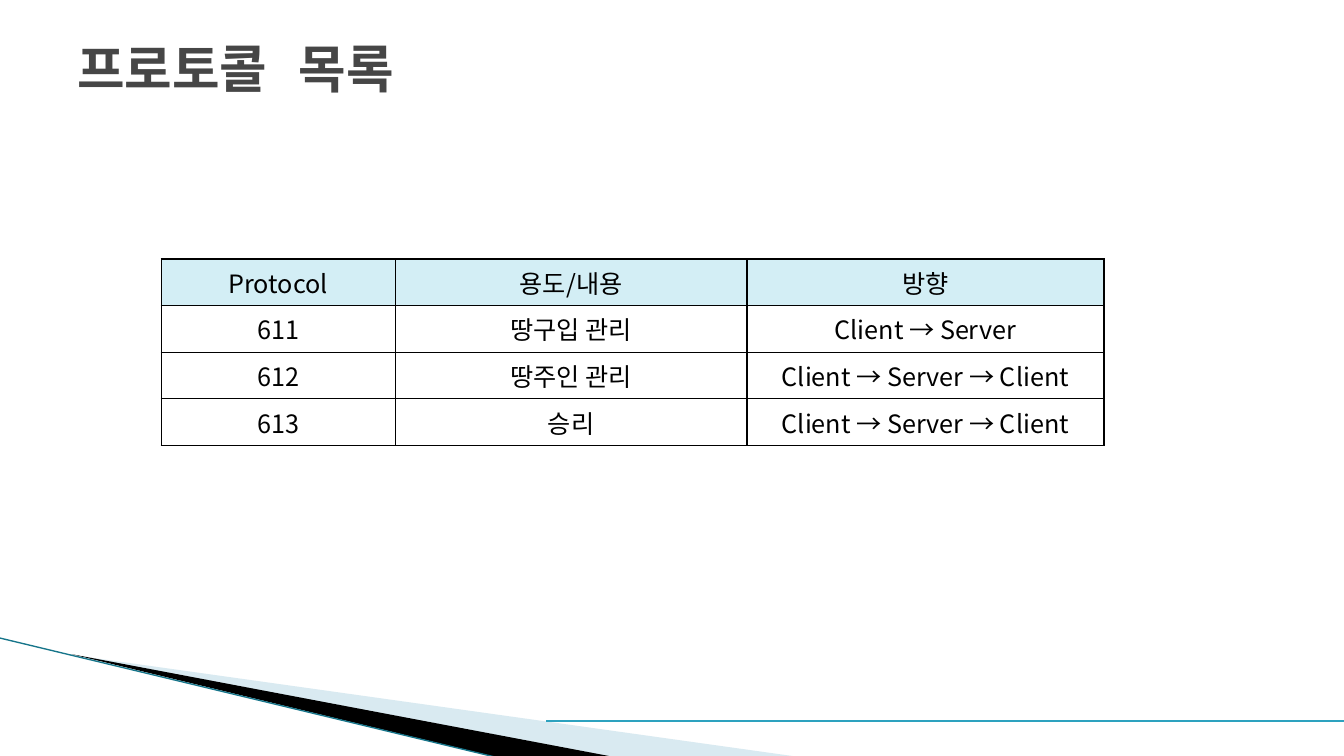
from lxml import etree
from pptx import Presentation
from pptx import util as u
from pptx.dml.color import RGBColor
from pptx.enum import shapes, text
from pptx.oxml import ns

WIDTH, HEIGHT = 13.33, 7.5
TITLE_FONT, TABLE_FONT = "DejaVu Sans Mono", "Noto Sans CJK KR"
COLORS = {
    "title": "464646",
    "ink": "000000",
    "header": "D3EEF5",
    "pale": "A0CBDC",
    "edge": "16758A",
    "rule": "2DA2BF",
}
COLUMN_WIDTHS = [2.32, 3.49, 3.54]
ROW_HEIGHT = 0.41
PROTOCOLS = [
    ["Protocol", "용도/내용", "방향"],
    ["611", "땅구입 관리", "Client → Server"],
    ["612", "땅주인 관리", "Client → Server → Client"],
    ["613", "승리", "Client → Server → Client"],
]


def color(name):
    return RGBColor.from_string(COLORS[name])


def add_child(parent, tag, **attributes):
    return etree.SubElement(parent, ns.qn(tag), attributes)


def style_paragraph(paragraph, font_name, size, color_name, alignment, bold=False):
    paragraph.alignment = alignment
    font = paragraph.font
    font.name, font.size, font.bold = font_name, u.Pt(size), bold
    font.color.rgb = color(color_name)
    add_child(font._element, "a:ea", typeface=font_name)
    for run in paragraph.runs:
        run.font.name = font_name
        add_child(run.font._element, "a:ea", typeface=font_name)


def add_wedge(slide, points, color_name, opacity=100):
    start, *others = [(u.Inches(x), u.Inches(y)) for x, y in points]
    builder = slide.shapes.build_freeform(*start, scale=1.0)
    builder.add_line_segments(others, close=True)
    wedge = builder.convert_to_shape()
    wedge.shadow.inherit = False
    wedge.line.fill.background()
    wedge.fill.solid()
    wedge.fill.fore_color.rgb = color(color_name)
    if opacity < 100:
        fill_color = wedge._element.spPr.find(".//" + ns.qn("a:srgbClr"))
        add_child(fill_color, "a:alpha", val=str(opacity * 1000))


def add_line(slide, start, end, color_name, width):
    ends = [u.Inches(value) for value in (*start, *end)]
    line = slide.shapes.add_connector(shapes.MSO_CONNECTOR.STRAIGHT, *ends)
    line.line.color.rgb = color(color_name)
    line.line.width = u.Pt(width)
    add_child(line._element.spPr, "a:effectLst")


def set_title(slide, wording):
    title = slide.shapes.title
    title.left, title.top = u.Inches(WIDTH * 0.05), u.Inches(HEIGHT * 0.04)
    title.width, title.height = u.Inches(WIDTH * 0.9), u.Inches(0.74)
    frame = title.text_frame
    frame.text = wording
    frame.auto_size = text.MSO_AUTO_SIZE.NONE
    frame.vertical_anchor = text.MSO_ANCHOR.MIDDLE
    style_paragraph(frame.paragraphs[0], TITLE_FONT, 36.9, "title", text.PP_ALIGN.LEFT, True)


def border_cell(cell):
    properties = cell._tc.get_or_add_tcPr()
    for side in ("a:lnL", "a:lnR", "a:lnT", "a:lnB"):
        border = add_child(properties, side, w=str(u.Pt(1)))
        add_child(add_child(border, "a:solidFill"), "a:srgbClr", val=COLORS["ink"])


def add_protocol_table(slide, left, top):
    frame = slide.shapes.add_table(
        len(PROTOCOLS), len(COLUMN_WIDTHS), u.Inches(left), u.Inches(top),
        u.Inches(sum(COLUMN_WIDTHS)), u.Inches(ROW_HEIGHT * len(PROTOCOLS)))
    table = frame.table
    table.first_row = table.horz_banding = False
    for column, width in zip(table.columns, COLUMN_WIDTHS):
        column.width = u.Inches(width)
    for row, wordings in zip(table.rows, PROTOCOLS):
        row.height = u.Inches(ROW_HEIGHT)
        for cell, wording in zip(row.cells, wordings):
            cell.text = wording
            style_paragraph(cell.text_frame.paragraphs[0], TABLE_FONT, 18, "ink",
                            text.PP_ALIGN.CENTER)
            border_cell(cell)
            if wordings is PROTOCOLS[0]:
                cell.fill.solid()
                cell.fill.fore_color.rgb = color("header")
            else:
                cell.fill.background()


def main():
    presentation = Presentation()
    presentation.slide_width = u.Inches(WIDTH)
    presentation.slide_height = u.Inches(HEIGHT)
    slide = presentation.slides.add_slide(presentation.slide_layouts[5])
    add_wedge(slide, [(0.73, 6.5), (7.93, 7.51), (6.08, 7.51)], "pale", 40)
    add_wedge(slide, [(0.71, 6.49), (6.09, 7.51), (4.96, 7.52)], "ink")
    add_line(slide, (0, 6.33), (4.95, 7.52), "edge", 0.95)
    add_line(slide, (5.42, 7.15), (WIDTH, 7.15), "rule", 1.5)
    set_title(slide, "프로토콜 목록")
    add_protocol_table(slide, WIDTH * 0.12, 2.57)
    presentation.save("out.pptx")


if __name__ == "__main__":
    main()
